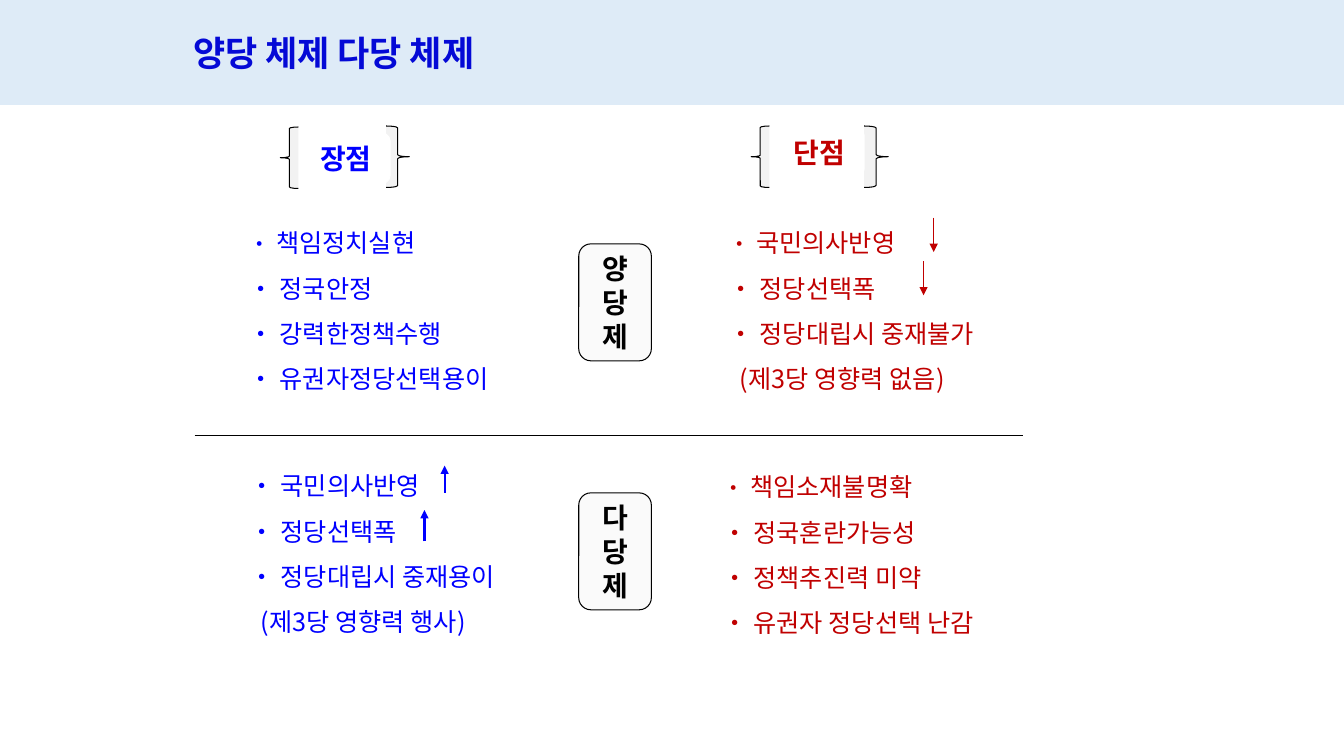
from pptx import Presentation
from pptx.dml.color import RGBColor
from pptx.enum.shapes import MSO_CONNECTOR as CONN, MSO_SHAPE as SHAPE
from pptx.enum.text import MSO_ANCHOR as ANCHOR, PP_ALIGN as ALIGN
from pptx.oxml.ns import qn
from pptx.util import Inches, Pt
from lxml.etree import SubElement

# Content
TITLE = "양당 체제 다당 체제"
HEADINGS = [  # text, colour, label box, left brace, right brace
    ("장점", "pro", (2.99, 1.32), (2.78, 1.26, 0.18), (3.83, 1.25, 0.23)),
    ("단점", "con", (7.69, 1.26), (7.45, 1.25, 0.18), (8.57, 1.25, 0.24)),
]
SYSTEMS = [("양당제", 2.42), ("다당제", 4.89)]  # name, top
POINTS = [  # colour, box, size of first bullet, lines
    ("pro", (2.37, 2.06, 2.85, 2.02), "small",
     ["• 책임정치실현", "• 정국안정", "• 강력한정책수행", "• 유권자정당선택용이"]),
    ("con", (7.13, 2.06, 3.08, 2.02), "small",
     ["• 국민의사반영", "• 정당선택폭", "• 정당대립시 중재불가", "(제3당 영향력 없음)"]),
    ("pro", (2.38, 4.47, 3.14, 2.09), "body",
     ["• 국민의사반영", "• 정당선택폭", "• 정당대립시 중재용이", "(제3당 영향력 행사)"]),
    ("con", (7.07, 4.48, 3.47, 2.02), "small",
     ["• 책임소재불명확", "• 정국혼란가능성", "• 정책추진력 미약", "• 유권자 정당선택 난감"]),
]
ARROWS = [  # colour, x, start, end, width
    ("con", 9.26, 2.16, 2.5, 1), ("con", 9.16, 2.59, 2.93, 1),
    ("pro", 4.41, 4.89, 4.62, 1.5), ("pro", 4.21, 5.37, 5.06, 1.5),
]
THEME = {
    "font": "Noto Sans CJK KR",
    "color": {"pro": "0000FF", "con": "C00000", "title": "0409D6", "ink": "000000",
              "band": "DEEBF7", "brace": "F2F2F2", "label": "FAFAFA", "paper": "FFFFFF"},
    "size": {"title": 25, "label": 20, "body": 18, "small": 16},
}
W, H = 13.33, 7.5

prs = Presentation()
prs.slide_width, prs.slide_height = Inches(W), Inches(H)
shapes = prs.slides.add_slide(prs.slide_layouts[6]).shapes


def rgb(name):
    return RGBColor.from_string(THEME["color"][name])


def add_box(kind, box, fill, line=None):
    s = shapes.add_shape(kind, *map(Inches, box))
    s.shadow.inherit = False
    s.fill.solid()
    s.fill.fore_color.rgb = rgb(fill)
    if line:
        s.line.color.rgb = rgb(line)
        s.line.width = Pt(0.75)
    else:
        s.line.fill.background()
    return s


def style(r, color, size, bold=False):
    f = r.font
    f.name, f.size, f.bold = THEME["font"], Pt(THEME["size"][size]), bold
    f.color.rgb = rgb(color)
    SubElement(r._r.get_or_add_rPr(), qn("a:ea"), typeface=THEME["font"])


def write(s, lines, color, size, bold=True, align=ALIGN.CENTER, anchor=ANCHOR.MIDDLE):
    tf = s.text_frame
    tf.word_wrap, tf.vertical_anchor = True, anchor
    tf.text = "\n".join(lines)
    for p in tf.paragraphs:
        p.alignment = align
        for r in p.runs:
            style(r, color, size, bold)
    return tf.paragraphs


def add_line(start, end, color, width, arrow=False):
    s = shapes.add_connector(CONN.STRAIGHT, *map(Inches, start + end))
    s.line.color.rgb, s.line.width = rgb(color), Pt(width)
    if arrow:
        SubElement(s.line._get_or_add_ln(), qn("a:tailEnd"), type="triangle")
    SubElement(s._element.spPr, qn("a:effectLst"))


# Column headings between braces
for text, color, label, left, right in HEADINGS:
    for kind, (x, y, w) in ((SHAPE.LEFT_BRACE, left), (SHAPE.RIGHT_BRACE, right)):
        add_box(kind, (x, y, w, 0.61), "brace", "ink")
    s = add_box(SHAPE.ROUNDED_RECTANGLE, label + (0.88, 0.5), "paper", "paper")
    write(s, [text], color, "label")

# Points for and against
for color, box, bullet_size, lines in POINTS:
    s = add_box(SHAPE.RECTANGLE, box, "paper", "paper")
    paragraphs = write(s, lines, color, "body", False, ALIGN.LEFT, ANCHOR.TOP)
    for p in paragraphs:
        p.line_spacing = 1.5
        if p.text.startswith("("):
            p._p.get_or_add_pPr().set("marL", str(Inches(0.11)))
    first = paragraphs[0]
    bullet, words = first.text[:2], first.text[2:]
    first.runs[0].text = bullet
    first.runs[0].font.size = Pt(THEME["size"][bullet_size])
    r = first.add_run()
    r.text = words
    style(r, color, "body")

# System names, one syllable a line
for name, top in SYSTEMS:
    s = add_box(SHAPE.ROUNDED_RECTANGLE, (5.74, top, 0.72, 1.16), "label", "ink")
    write(s, list(name), "ink", "label")

# Divider and trend arrows
add_line((1.93, 4.32), (10.15, 4.32), "ink", 0.75)
for color, x, start, end, width in ARROWS:
    add_line((x, start), (x, end), color, width, arrow=True)

# Title band
add_box(SHAPE.RECTANGLE, (0, 0, W, 1.04), "band")
s = shapes.add_textbox(*map(Inches, (1.4, 0.21, 3.82, 0.62)))
write(s, [TITLE], "title", "title")

prs.save("out.pptx")
